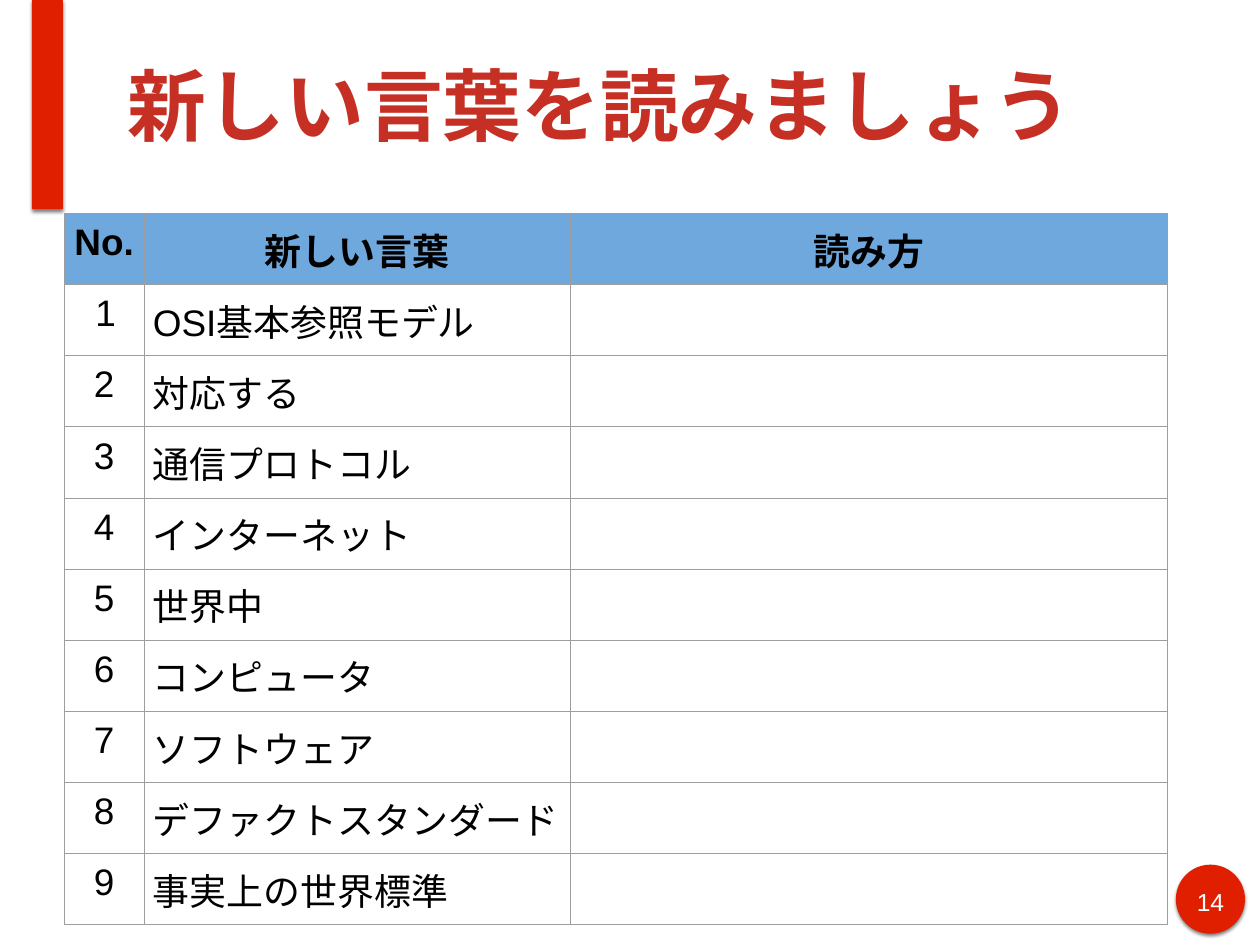
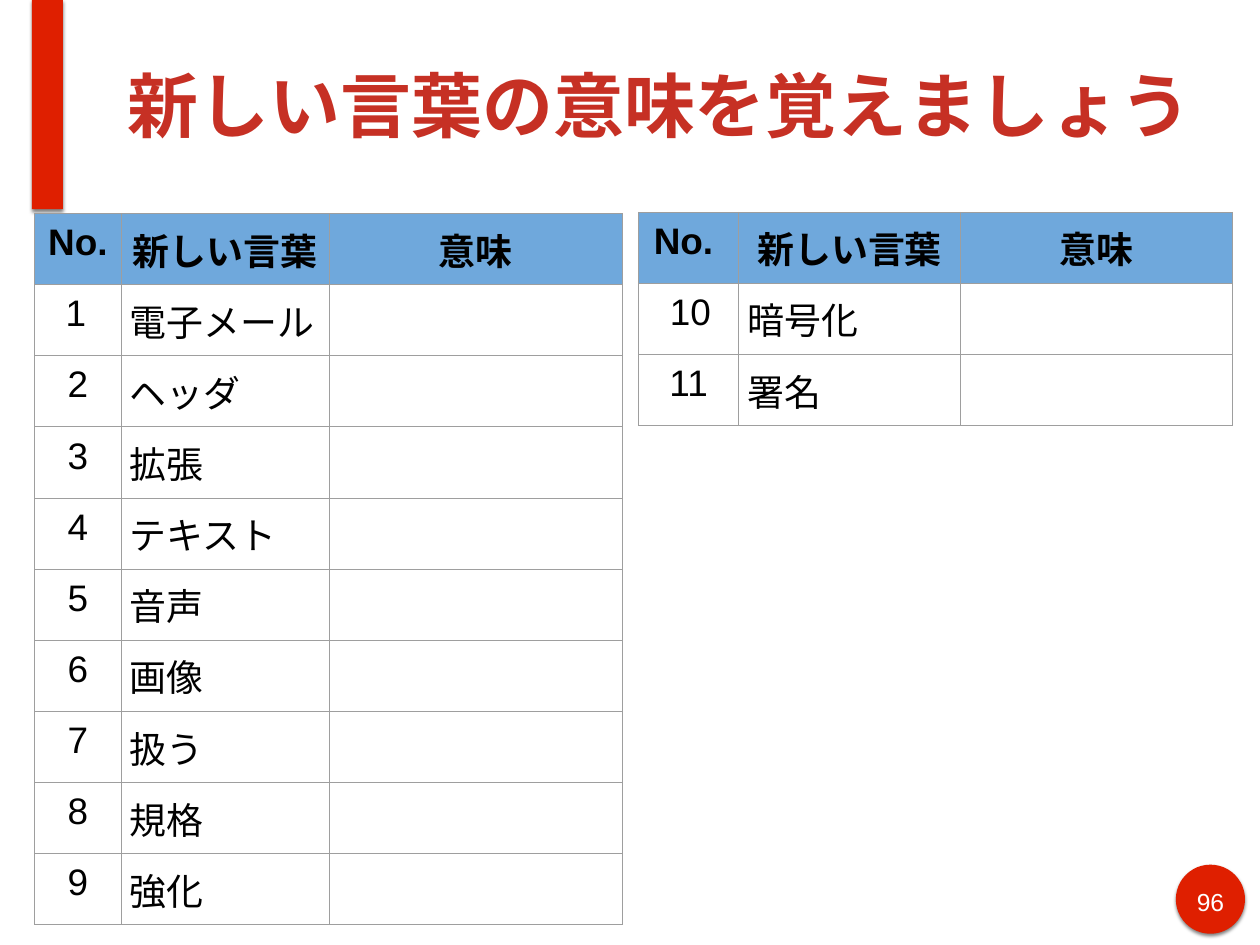
from dataclasses import dataclass

from lxml.etree import SubElement
from pptx import Presentation
from pptx.dml.color import RGBColor
from pptx.enum.lang import MSO_LANGUAGE_ID
from pptx.enum.shapes import MSO_SHAPE
from pptx.enum.text import MSO_ANCHOR, MSO_AUTO_SIZE, PP_ALIGN
from pptx.oxml.ns import qn
from pptx.slide import Slide, SlideLayout
from pptx.table import _Cell
from pptx.text.text import TextFrame, _Paragraph
from pptx.util import Inches, Pt

SLIDE_WIDTH = Inches(14.22)
SLIDE_HEIGHT = Inches(10.67)
FONT = "Arial"
ACCENT = "DF1F00"
TITLE_COLOR = "C63024"
HEADER_FILL = "6FA8DC"
BORDER = "9E9E9E"
BLACK = "000000"
WHITE = "FFFFFF"
ROW_HEIGHT = 7.53
TABLE_TEXT_SIZE = 30


@dataclass(frozen=True)
class Box:
    """A rectangle in percent of the slide's width and height."""
    left: float
    top: float
    width: float
    height: float

    def place(self) -> tuple[int, int, int, int]:
        return across(self.left), down(self.top), across(self.width), down(self.height)


@dataclass(frozen=True)
class WordTable:
    left: float
    top: float
    columns: tuple[float, float, float]
    answer_heading: str
    words: tuple[str, ...]
    first_number: int = 1


@dataclass(frozen=True)
class WordSlide:
    title: str
    title_size: float
    page: int
    tables: tuple[WordTable, ...]


BAND = Box(2.53, 0, 2.46, 22.12)
PAGE_BADGE = Box(93.32, 91.5, 5.49, 7.31)
PAGE_NUMBER = Box(94.35, 93.25, 3.45, 3.66)
TITLE = Box(9.73, 1.12, 85.37, 19.87)

WORD_SLIDES = (
    WordSlide("新しい言葉を読みましょう", 64, 14, (
        WordTable(5.1, 22.59, (6.33, 33.83, 47.43), "読み方", (
            "OSI基本参照モデル", "対応する", "通信プロトコル", "インターネット", "世界中",
            "コンピュータ", "ソフトウェア", "デファクトスタンダード", "事実上の世界標準")),
    )),
    WordSlide("新しい言葉の意味を覚えましょう", 57.6, 96, (
        WordTable(2.74, 22.59, (6.87, 16.53, 23.24), "意味", (
            "電子メール", "ヘッダ", "拡張", "テキスト", "音声", "画像", "扱う", "規格", "強化")),
        WordTable(50.7, 22.45, (7.91, 17.65, 21.57), "意味", ("暗号化", "署名"), 10),
    )),
)


def across(percent: float) -> int:
    return round(SLIDE_WIDTH * percent / 100)


def down(percent: float) -> int:
    return round(SLIDE_HEIGHT * percent / 100)


def color(value: str) -> RGBColor:
    return RGBColor.from_string(value)


def format_paragraph(paragraph: _Paragraph, size: float, font_color: str,
                     bold: bool = False, alignment: PP_ALIGN = PP_ALIGN.LEFT) -> None:
    paragraph.alignment = alignment
    for run in paragraph.runs:
        run.font.size = Pt(size)
        run.font.bold = bold
        run.font.name = FONT
        run.font.language_id = MSO_LANGUAGE_ID.JAPANESE
        run.font.color.rgb = color(font_color)


def set_margins(target: TextFrame | _Cell, inches: float) -> None:
    target.margin_left = target.margin_right = Inches(inches)
    target.margin_top = target.margin_bottom = Inches(inches)


def add_shadow(properties) -> None:
    effects = SubElement(properties, qn("a:effectLst"))
    shadow = SubElement(effects, qn("a:outerShdw"), blurRad=str(Pt(3)), dist=str(Pt(2)),
                        dir="5400000", rotWithShape="0")
    shadow_color = SubElement(shadow, qn("a:srgbClr"), val=BLACK)
    SubElement(shadow_color, qn("a:alpha"), val="50000")


def decorate_layout(layout: SlideLayout, slide: Slide) -> None:
    """Draw the band and the badge on the slide, then move them to its layout."""
    decorations = ((MSO_SHAPE.OVAL, PAGE_BADGE), (MSO_SHAPE.RECTANGLE, BAND))
    for shape_id, (kind, box) in enumerate(decorations, start=20):
        shape = slide.shapes.add_shape(kind, *box.place())
        shape.fill.solid()
        shape.fill.fore_color.rgb = color(ACCENT)
        shape.line.fill.background()
        add_shadow(shape.element.spPr)
        shape.element.xpath(".//p:cNvPr")[0].set("id", str(shape_id))
        layout.shapes.element.append(shape.element)


def place_layout_title(layout: SlideLayout) -> None:
    title = layout.placeholders[0]
    title.left, title.top, title.width, title.height = TITLE.place()


def add_title(slide: Slide, text: str, size: float) -> None:
    text_frame = slide.shapes.title.text_frame
    text_frame.text = text
    text_frame.word_wrap = True
    text_frame.auto_size = MSO_AUTO_SIZE.NONE
    text_frame.vertical_anchor = MSO_ANCHOR.MIDDLE
    set_margins(text_frame, 0.06)
    paragraph = text_frame.paragraphs[0]
    format_paragraph(paragraph, size, TITLE_COLOR, bold=True)
    for run in paragraph.runs:
        SubElement(run._r.get_or_add_rPr(), qn("a:ea"), typeface=FONT)


def add_page_number(slide: Slide, page: int) -> None:
    text_frame = slide.shapes.add_textbox(*PAGE_NUMBER.place()).text_frame
    text_frame.text = str(page)
    text_frame.word_wrap = True
    set_margins(text_frame, 0.06)
    format_paragraph(text_frame.paragraphs[0], 20, WHITE, alignment=PP_ALIGN.CENTER)


def add_borders(cell: _Cell) -> None:
    properties = cell._tc.get_or_add_tcPr()
    for side in ("lnL", "lnR", "lnT", "lnB"):
        line = SubElement(properties, qn(f"a:{side}"), w=str(Pt(0.75)))
        fill = SubElement(line, qn("a:solidFill"))
        SubElement(fill, qn("a:srgbClr"), val=BORDER)


def fill_cell(cell: _Cell, text: str, is_header: bool, alignment: PP_ALIGN) -> None:
    set_margins(cell, 0.1)
    add_borders(cell)
    if is_header:
        cell.fill.solid()
        cell.fill.fore_color.rgb = color(HEADER_FILL)
    else:
        cell.fill.background()
    if text:
        cell.text = text
        format_paragraph(cell.text_frame.paragraphs[0], TABLE_TEXT_SIZE, BLACK,
                         is_header, alignment)


def indent_first_number(cell: _Cell) -> None:
    properties = cell.text_frame.paragraphs[0]._p.get_or_add_pPr()
    properties.set("marL", str(Inches(0.5)))
    properties.set("indent", str(Inches(-0.25)))


def add_word_table(slide: Slide, words: WordTable) -> None:
    rows = [("No. ", "新しい言葉", words.answer_heading)]
    rows += [(str(number), word, "")
             for number, word in enumerate(words.words, start=words.first_number)]
    box = Box(words.left, words.top, sum(words.columns), ROW_HEIGHT * len(rows))
    table = slide.shapes.add_table(len(rows), len(words.columns), *box.place()).table
    table.first_row = table.horz_banding = False
    for column, width in zip(table.columns, words.columns):
        column.width = across(width)
    for row_index, texts in enumerate(rows):
        table.rows[row_index].height = down(ROW_HEIGHT)
        for column_index, text in enumerate(texts):
            is_header = row_index == 0
            is_centered = is_header or (column_index == 0 and row_index > 1)
            alignment = PP_ALIGN.CENTER if is_centered else PP_ALIGN.LEFT
            fill_cell(table.cell(row_index, column_index), text, is_header, alignment)
    indent_first_number(table.cell(1, 0))


def main() -> None:
    presentation = Presentation()
    presentation.slide_width = SLIDE_WIDTH
    presentation.slide_height = SLIDE_HEIGHT
    layout = presentation.slide_layouts.get_by_name("Title Only")
    place_layout_title(layout)
    for index, content in enumerate(WORD_SLIDES):
        slide = presentation.slides.add_slide(layout)
        if index == 0:
            decorate_layout(layout, slide)
        add_page_number(slide, content.page)
        add_title(slide, content.title, content.title_size)
        for words in content.tables:
            add_word_table(slide, words)
    presentation.save("out.pptx")


if __name__ == "__main__":
    main()
